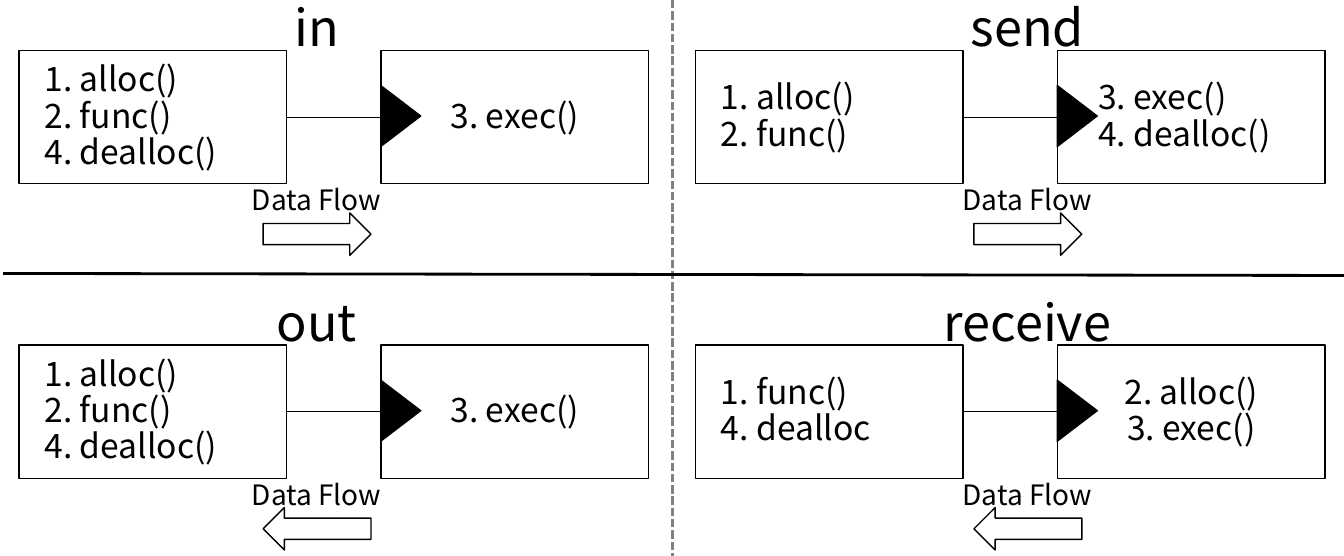
"""Build a slide comparing the in, send, out and receive call patterns."""
import pptx
import pptx.dml.color
import pptx.enum.dml
import pptx.enum.shapes
import pptx.enum.text
import pptx.oxml
import pptx.util
from pptx.util import Inches

FONT = "Noto Sans CJK JP"
BLACK, WHITE, GRAY = "000000", "FFFFFF", "808080"
WIDTH, HEIGHT = 13.33, 5.51
BOX_W, BOX_H = 2.65, 1.32
BOX_GAP = 0.94
COLUMN_STEP, FLOW_STEP, ROW_STEP = 6.71, 7.05, 2.92
SHAPE = pptx.enum.shapes.MSO_SHAPE
ALIGN = pptx.enum.text.PP_ALIGN
ANCHOR = pptx.enum.text.MSO_ANCHOR

PATTERNS = [
    {"title": "in", "column": 0, "row": 0, "flow_angle": 0,
     "caller": ["1. alloc()", "2. func()", "4. dealloc()"],
     "callee": ["3. exec()"], "callee_format": (ALIGN.CENTER, 0.1)},
    {"title": "send", "column": 1, "row": 0, "flow_angle": 0,
     "caller": ["1. alloc()", "2. func()"],
     "callee": ["3. exec()", "4. dealloc()"], "callee_format": (ALIGN.LEFT, 0.4)},
    {"title": "out", "column": 0, "row": 1, "flow_angle": 180,
     "caller": ["1. alloc()", "2. func()", "4. dealloc()"],
     "callee": ["3. exec()"], "callee_format": (ALIGN.CENTER, 0.1)},
    {"title": "receive", "column": 1, "row": 1, "flow_angle": 180,
     "caller": ["1. func()", "4. dealloc"],
     "callee": ["2. alloc()", "3. exec()"], "callee_format": (ALIGN.CENTER, 0.1)},
]


def color(value):
    return pptx.dml.color.RGBColor.from_string(value)


def write(sp, lines, size, align=ALIGN.CENTER, left=0.1, anchor=ANCHOR.MIDDLE):
    tf = sp.text_frame
    frame = {"word_wrap": True, "vertical_anchor": anchor,
             "margin_left": Inches(left), "margin_right": Inches(0.1),
             "margin_top": Inches(0.05), "margin_bottom": Inches(0.05)}
    for name, value in frame.items():
        setattr(tf, name, value)
    for i, line in enumerate(lines):
        p = tf.paragraphs[0] if i == 0 else tf.add_paragraph()
        p.alignment, p.line_spacing = align, 0.9
        r = p.add_run()
        r.text = line
        for name, value in {"name": FONT, "size": pptx.util.Pt(size)}.items():
            setattr(r.font, name, value)
        r.font.color.rgb = color(BLACK)


def add_shape(kind, x, y, w, h, fill=WHITE, weight=1, angle=0):
    sp = shapes.add_shape(kind, Inches(x), Inches(y), Inches(w), Inches(h))
    sp.shadow.inherit = False
    sp.fill.solid()
    sp.fill.fore_color.rgb = color(fill)
    sp.line.color.rgb = color(BLACK)
    sp.line.width = pptx.util.Pt(weight)
    sp.rotation = angle
    return sp


def add_text(x, y, w, h, text, size, anchor):
    sp = shapes.add_textbox(Inches(x), Inches(y), Inches(w), Inches(h))
    write(sp, [text], size, anchor=anchor)
    return sp


def add_line(x1, y1, x2, y2, weight, stroke=BLACK):
    straight = pptx.enum.shapes.MSO_CONNECTOR.STRAIGHT
    sp = shapes.add_connector(straight, Inches(x1), Inches(y1), Inches(x2), Inches(y2))
    sp.line.color.rgb = color(stroke)
    sp.line.width = pptx.util.Pt(weight)
    sp._element.spPr.append(pptx.oxml.parse_xml(
        '<a:effectLst xmlns:a="http://schemas.openxmlformats.org/drawingml/2006/main"/>'))
    return sp


def add_pattern(pattern):
    x = 0.19 + pattern["column"] * COLUMN_STEP
    flow_x = 2.11 + pattern["column"] * FLOW_STEP
    y = 0.5 + pattern["row"] * ROW_STEP
    callee_x = x + BOX_W + BOX_GAP
    middle = y + BOX_H / 2

    caller = add_shape(SHAPE.RECTANGLE, x, y, BOX_W, BOX_H)
    write(caller, pattern["caller"], 24, ALIGN.LEFT, 0.25)
    callee = add_shape(SHAPE.RECTANGLE, callee_x, y, BOX_W, BOX_H)
    write(callee, pattern["callee"], 24, *pattern["callee_format"])
    add_shape(SHAPE.ISOSCELES_TRIANGLE, callee_x - 0.11, middle - 0.21, 0.61, 0.4,
              BLACK, 0.75, 90)
    add_line(x + BOX_W, middle, callee_x, middle, 0.75)

    title = add_text(flow_x - 1.06, y - 0.52, 4.18, 0.52, pattern["title"], 36, ANCHOR.TOP)
    title.text_frame.auto_size = pptx.enum.text.MSO_AUTO_SIZE.SHAPE_TO_FIT_TEXT
    add_shape(SHAPE.RIGHT_ARROW, flow_x + 0.5, y + 1.61, 1.07, 0.42,
              angle=pattern["flow_angle"])
    add_text(flow_x, y + BOX_H, 2.06, 0.36, "Data Flow", 20, ANCHOR.MIDDLE)


prs = pptx.Presentation()
prs.slide_width, prs.slide_height = Inches(WIDTH), Inches(HEIGHT)
shapes = prs.slides.add_slide(prs.slide_layouts[6]).shapes
divider = add_line(6.67, 0, 6.67, HEIGHT, 2, GRAY)
divider.line.dash_style = pptx.enum.dml.MSO_LINE.SQUARE_DOT
add_line(WIDTH, 2.73, 0.03, 2.71, 2)
for pattern in PATTERNS:
    add_pattern(pattern)
prs.save("out.pptx")
